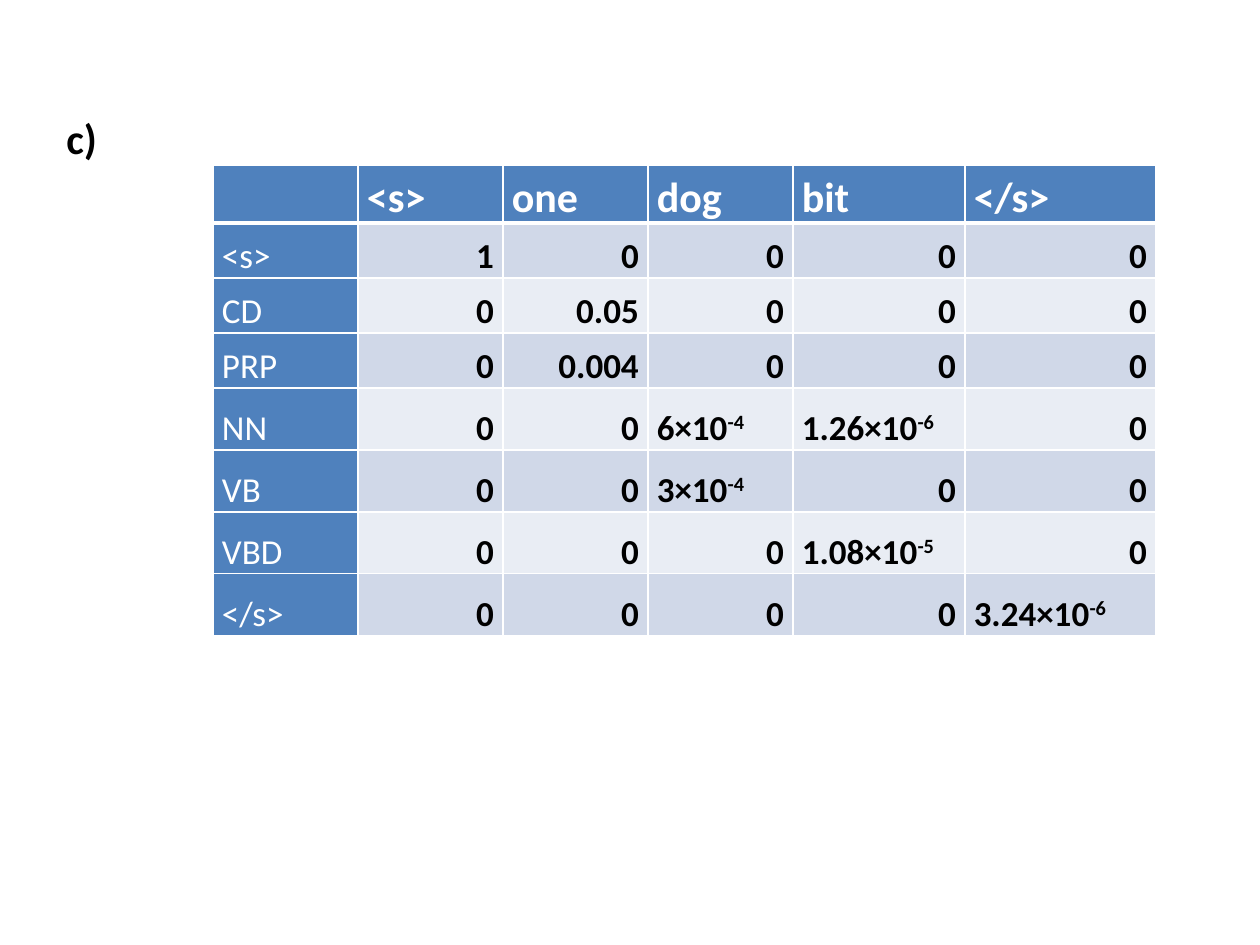
import pptx
import pptx.util
import pptx.dml.color
import pptx.enum.text
import pptx.oxml
import pptx.oxml.ns
import lxml.etree

HEADER = ["", "<s>", "one", "dog", "bit", "</s>"]
ROWS = [
    ["<s>", "1", "0", "0", "0", "0"],
    ["CD", "0", "0.05", "0", "0", "0"],
    ["PRP", "0", "0.004", "0", "0", "0"],
    ["NN", "0", "0", "6×10^-4", "1.26×10^-6", "0"],
    ["VB", "0", "0", "3×10^-4", "0", "0"],
    ["VBD", "0", "0", "0", "1.08×10^-5", "0"],
    ["</s>", "0", "0", "0", "0", "3.24×10^-6"],
]
COLORS = {"head": "4F81BD", "odd": "D0D8E8", "even": "E9EDF4",
          "white": "FFFFFF", "black": "000000"}
COL_WIDTHS = [145] * 4 + [172, 191]
ROW_HEIGHTS = [55] * 4 + [62] * 4
LABEL_BOX = (54, 106, 1134, 624)
TABLE_AT = (213, 165)
INSET = 9
SCALE = 914400 // 126


def px(n):
    return pptx.util.Emu(n * SCALE)


def rgb(name):
    return pptx.dml.color.RGBColor.from_string(COLORS[name])


def style(p, size, color, bold):
    p.font.name = "Calibri"
    p.font.size = pptx.util.Pt(size)
    p.font.bold = bold
    p.font.color.rgb = rgb(color)


def set_borders(cell, bottom):
    tcPr = cell._tc.get_or_add_tcPr()
    for i, (side, width) in enumerate([("L", 1), ("R", 1), ("T", 1), ("B", bottom)]):
        ln = lxml.etree.Element(pptx.oxml.ns.qn("a:ln" + side),
                                w=str(pptx.util.Pt(width)))
        fill = lxml.etree.SubElement(ln, pptx.oxml.ns.qn("a:solidFill"))
        lxml.etree.SubElement(fill, pptx.oxml.ns.qn("a:srgbClr"), val=COLORS["white"])
        tcPr.insert(i, ln)


def fill_cell(cell, text, row, col):
    is_head = row == 0 or col == 0
    cell.fill.solid()
    cell.fill.fore_color.rgb = rgb("head" if is_head else "odd" if row % 2 else "even")
    set_borders(cell, 3 if row == 0 else 1)
    cell.vertical_anchor = pptx.enum.text.MSO_ANCHOR.BOTTOM
    cell.margin_left = cell.margin_right = px(INSET)
    cell.margin_top = cell.margin_bottom = 0
    p = cell.text_frame.paragraphs[0]
    base, _, power = text.partition("^")
    style(p, 24 if row == 0 else 20, "white" if is_head else "black",
          row == 0 or col > 0)
    p.line_spacing = 1.15
    if not is_head and not power:
        p.alignment = pptx.enum.text.PP_ALIGN.RIGHT
    if base:
        p.add_run().text = base
    if power:
        r = p.add_run()
        r.text = power
        r._r.get_or_add_rPr().set("baseline", "30000")


prs = pptx.Presentation()
prs.slide_width = pptx.util.Inches(10)
prs.slide_height = pptx.util.Inches(7.5)
s = prs.slides.add_slide(prs.slide_layouts[6])

label = s.shapes.add_textbox(*map(px, LABEL_BOX))
tf = label.text_frame
tf.word_wrap = True
p = tf.paragraphs[0]
p.text = "c)"
p.space_before = pptx.util.Pt(4.8)
style(p, 24, "black", True)

cells = [HEADER] + ROWS
frame = s.shapes.add_table(len(cells), len(HEADER), *map(px, TABLE_AT),
                           px(sum(COL_WIDTHS)), px(sum(ROW_HEIGHTS)))
table = frame.table
for column, width in zip(table.columns, COL_WIDTHS):
    column.width = px(width)
for table_row, height in zip(table.rows, ROW_HEIGHTS):
    table_row.height = px(height)
for row, texts in enumerate(cells):
    for col, text in enumerate(texts):
        fill_cell(table.cell(row, col), text, row, col)

prs.save("out.pptx")
